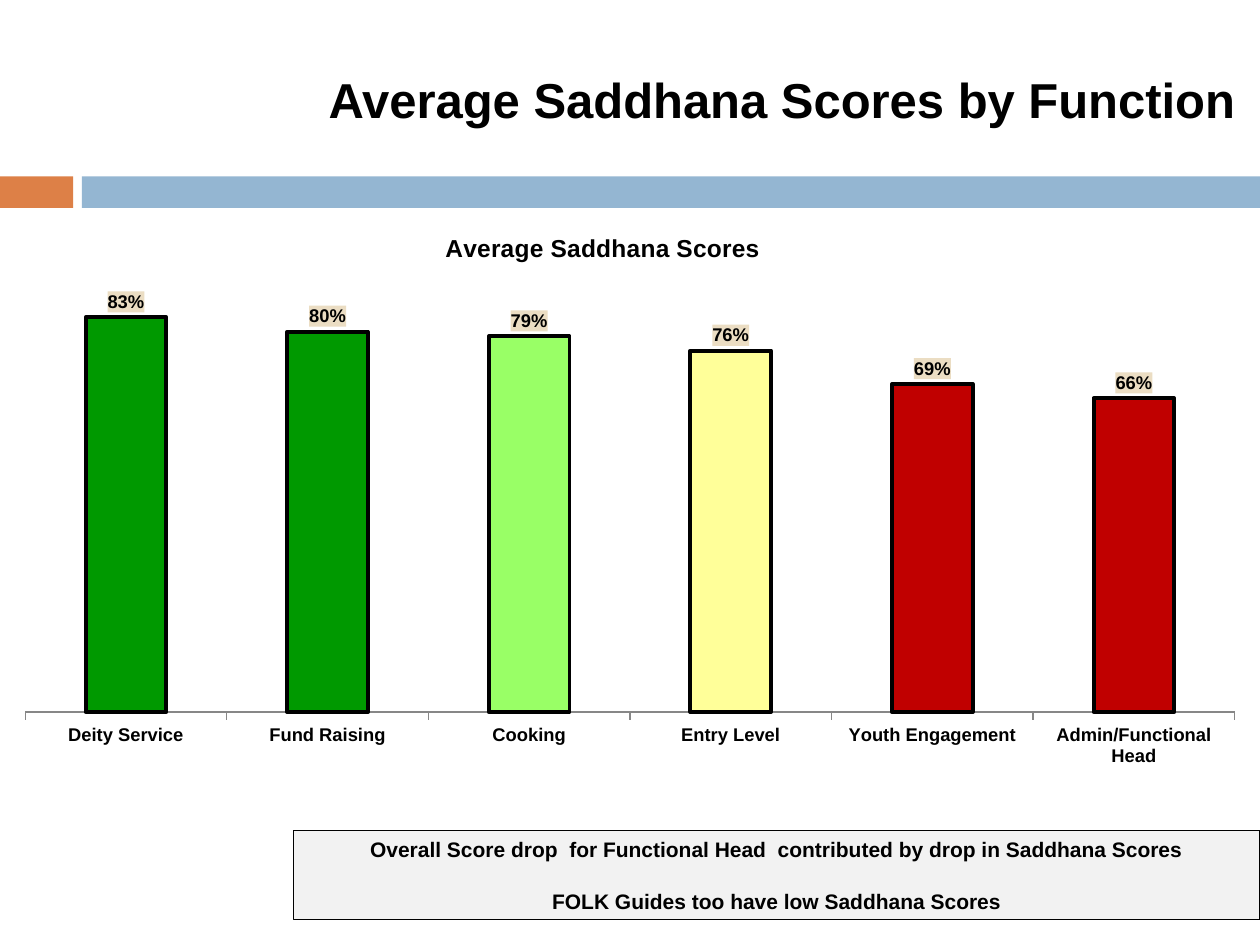
from lxml import etree
from pptx import Presentation
from pptx.chart.data import CategoryChartData
from pptx.dml.color import RGBColor
from pptx.enum.chart import XL_CHART_TYPE as ChartType, XL_LABEL_POSITION as LabelPos
from pptx.enum.chart import XL_TICK_LABEL_POSITION as TickLabels, XL_TICK_MARK as Tick
from pptx.enum.shapes import MSO_SHAPE as Preset
from pptx.enum.text import MSO_ANCHOR as Anchor, PP_ALIGN as Align
from pptx.oxml import parse_xml
from pptx.oxml.ns import nsdecls, qn
from pptx.util import Inches, Pt

FONT = "Arial"
BLACK, BLUE, ORANGE = "000000", "94B6D2", "DD8047"
GREY, BEIGE = "F2F2F2", "EBDDC3"
GREEN, LIME, YELLOW, RED = "009900", "99FF66", "FFFF99", "C00000"
SCORES = [
    ("Deity Service", 0.83, GREEN),
    ("Fund Raising", 0.80, GREEN),
    ("Cooking", 0.79, LIME),
    ("Entry Level", 0.76, YELLOW),
    ("Youth Engagement", 0.69, RED),
    ("Admin/Functional Head", 0.66, RED),
]


def rgb(code):
    return RGBColor.from_string(code)


def paint(part, code):
    part.fill.solid()
    part.fill.fore_color.rgb = rgb(code)


def style_font(font, size):
    font.name, font.size, font.bold = FONT, Pt(size), True
    font.color.rgb = rgb(BLACK)


def write(frame, lines, size=12, align=Align.LEFT, gap=0, wrap=True):
    frame.word_wrap = wrap
    for index, line in enumerate(lines):
        paragraph = frame.add_paragraph() if index else frame.paragraphs[0]
        paragraph.alignment = align
        if index:
            paragraph.space_before = Pt(gap)
        run = paragraph.add_run()
        run.text = line
        style_font(run.font, size)


def add_rect(slide, box, fill, line=None):
    rect = slide.shapes.add_shape(Preset.RECTANGLE, *map(Inches, box))
    rect.shadow.inherit = False
    paint(rect, fill)
    if line:
        rect.line.color.rgb = rgb(line)
        rect.line.width = Pt(0.75)
    else:
        rect.line.fill.background()
    return rect


def place(element, before, **fractions):
    """Give a chart part a manual layout, in fractions of the chart."""
    for old in element.findall(qn("c:layout")):
        element.remove(old)
    layout = etree.Element(qn("c:layout"))
    manual = etree.SubElement(layout, qn("c:manualLayout"))
    settings = {"xMode": "edge", "yMode": "edge", **fractions}
    if "w" in fractions:
        settings = {"layoutTarget": "inner", **settings}
    for tag, value in settings.items():
        etree.SubElement(manual, qn(f"c:{tag}")).set("val", str(value))
    element.find(qn(before)).addprevious(layout)


def add_band(slide, left, top, width, height):
    accent, gap = 0.58, 0.07
    add_rect(slide, (left, top, accent, height), ORANGE)
    start = left + accent + gap
    add_rect(slide, (start, top, width - start, height), BLUE)


def add_heading(slide, box):
    heading = slide.shapes.add_textbox(*map(Inches, box))
    write(heading.text_frame, ["Average Saddhana Scores by Function"], size=28, wrap=False)


def add_score_chart(slide, box):
    names, values, colors = zip(*SCORES)
    data = CategoryChartData(number_format="0%")
    data.categories = names
    data.add_series("Average Saddhana Scores", values)
    chart = slide.shapes.add_chart(
        ChartType.COLUMN_CLUSTERED, *map(Inches, box), data).chart
    style_font(chart.font, 10.5)
    chart.has_legend = False

    # Title and plot area
    chart.has_title = True
    write(chart.chart_title.text_frame, ["Average Saddhana Scores"], size=14)
    chart.chart_title.include_in_layout = False
    place(chart.chart_title._element, "c:overlay", x=0.35, y=0.03)
    plot_area = chart._chartSpace.chart.plotArea
    place(plot_area, "c:barChart", x=0.02, y=0.13, w=0.96, h=0.755)

    # Axes
    scores = chart.value_axis
    scores.minimum_scale, scores.maximum_scale = 0, 0.9
    scores.has_major_gridlines = False
    scores.visible = False
    functions = chart.category_axis
    functions.major_tick_mark = Tick.OUTSIDE
    functions.tick_label_position = TickLabels.LOW
    functions.format.line.color.rgb = rgb("878787")
    functions.format.line.width = Pt(0.75)
    style_font(functions.tick_labels.font, 10.5)

    # Columns
    plot = chart.plots[0]
    plot.gap_width = 150
    plot.vary_by_categories = False
    series = plot.series[0]
    paint(series.format, BLUE)
    for index, color in enumerate(colors):
        column = series.points[index].format
        paint(column, color)
        column.line.color.rgb = rgb(BLACK)
        column.line.width = Pt(2.25)

    # Value labels on a beige ground
    labels = series.data_labels
    labels.show_value = True
    labels.position = LabelPos.OUTSIDE_END
    labels.number_format, labels.number_format_is_linked = "0%", False
    style_font(labels.font, 10.5)
    labels._element.find(qn("c:numFmt")).addnext(parse_xml(
        f'<c:spPr {nsdecls("c", "a")}><a:solidFill><a:srgbClr val="{BEIGE}"/>'
        "</a:solidFill></c:spPr>"))


def add_remarks(slide, box):
    remarks = add_rect(slide, box, GREY, line=BLACK)
    remarks.text_frame.vertical_anchor = Anchor.MIDDLE
    write(remarks.text_frame, [
        "Overall Score drop  for Functional Head  contributed by drop in Saddhana Scores",
        "FOLK Guides too have low Saddhana Scores",
    ], align=Align.CENTER, gap=15)


def main():
    deck = Presentation()
    deck.slide_width, deck.slide_height = Inches(10), Inches(7.5)
    slide = deck.slides.add_slide(deck.slide_layouts[6])
    add_band(slide, 0, 1.4, 10, 0.25)
    add_score_chart(slide, (0, 1.67, 10, 4.5))
    add_heading(slide, (2.51, 0.5, 7.49, 0.57))
    add_remarks(slide, (2.33, 6.59, 7.67, 0.71))
    deck.save("out.pptx")


if __name__ == "__main__":
    main()
